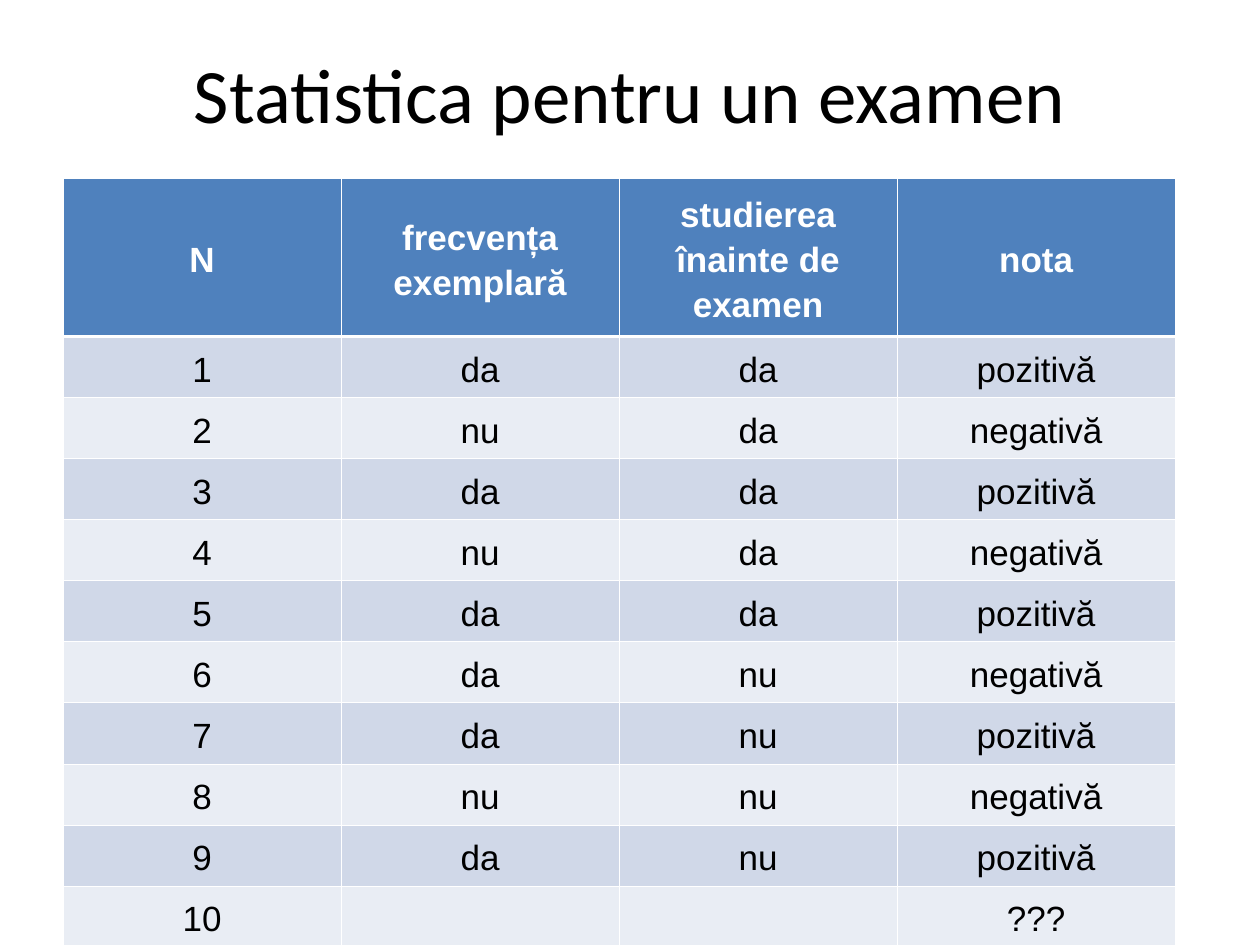
from lxml.etree import SubElement
from pptx import Presentation
from pptx.dml.color import RGBColor
from pptx.enum.text import MSO_ANCHOR, PP_ALIGN
from pptx.oxml.ns import qn
from pptx.util import Pt

TITLE = "Statistica pentru un examen"
HEADINGS = ("N", "frecvența exemplară", "studierea înainte de examen", "nota")
STUDENTS = [
    ("1", "da", "da", "pozitivă"),
    ("2", "nu", "da", "negativă"),
    ("3", "da", "da", "pozitivă"),
    ("4", "nu", "da", "negativă"),
    ("5", "da", "da", "pozitivă"),
    ("6", "da", "nu", "negativă"),
    ("7", "da", "nu", "pozitivă"),
    ("8", "nu", "nu", "negativă"),
    ("9", "da", "nu", "pozitivă"),
    ("10", "", "", "???"),
]
COLORS = {"heading": "4F81BD", "odd": "D0D8E8", "even": "E9EDF4",
          "white": "FFFFFF", "black": "000000"}
LEFT, TABLE_TOP = 36, 102.2
COLUMN_WIDTH, HEADING_HEIGHT, STUDENT_HEIGHT = 158.9, 83.5, 34.92
THIN, THICK = 0.45, 1.47


def style_text(paragraph, font_name, size, color, bold=False):
    paragraph.alignment = PP_ALIGN.CENTER
    font = paragraph.font
    font.name, font.size, font.bold = font_name, Pt(size), bold
    font.color.rgb = RGBColor.from_string(COLORS[color])


def add_border(cell, side, width):
    line = SubElement(cell._tc.get_or_add_tcPr(), qn(f"a:ln{side}"), w=str(Pt(width)))
    solid = SubElement(line, qn("a:solidFill"))
    SubElement(solid, qn("a:srgbClr"), val=COLORS["white"])


def fill_cell(cell, text, row):
    is_heading = row == 0
    cell.text = text
    cell.vertical_anchor = MSO_ANCHOR.MIDDLE
    cell.margin_left = cell.margin_right = Pt(5.76)
    cell.margin_top = cell.margin_bottom = Pt(3.6)
    paragraph = cell.text_frame.paragraphs[0]
    paragraph.line_spacing = 1.15
    paragraph.space_after = Pt(10)
    style_text(paragraph, "Arial", 20, "white" if is_heading else "black", is_heading)
    borders = {"L": THIN, "R": THIN,
               "T": THICK if row == 1 else THIN,
               "B": THICK if is_heading else THIN}
    for side, width in borders.items():
        add_border(cell, side, width)
    band = "heading" if is_heading else "odd" if row % 2 else "even"
    cell.fill.solid()
    cell.fill.fore_color.rgb = RGBColor.from_string(COLORS[band])


def main():
    presentation = Presentation()
    presentation.slide_width, presentation.slide_height = Pt(720), Pt(540)
    slide = presentation.slides.add_slide(presentation.slide_layouts[6])

    title = slide.shapes.add_textbox(Pt(LEFT), Pt(21.6), Pt(648), Pt(62.6)).text_frame
    title.word_wrap = True
    title.vertical_anchor = MSO_ANCHOR.MIDDLE
    title.text = TITLE
    style_text(title.paragraphs[0], "Calibri", 44, "black")

    rows = [HEADINGS, *STUDENTS]
    heights = [HEADING_HEIGHT] + [STUDENT_HEIGHT] * len(STUDENTS)
    statistics = slide.shapes.add_table(
        len(rows), len(HEADINGS), Pt(LEFT), Pt(TABLE_TOP),
        Pt(COLUMN_WIDTH * len(HEADINGS)), Pt(sum(heights))).table
    for column in statistics.columns:
        column.width = Pt(COLUMN_WIDTH)
    for row, (texts, height) in enumerate(zip(rows, heights)):
        statistics.rows[row].height = Pt(height)
        for column, text in enumerate(texts):
            fill_cell(statistics.cell(row, column), text, row)

    presentation.save("out.pptx")


if __name__ == "__main__":
    main()
